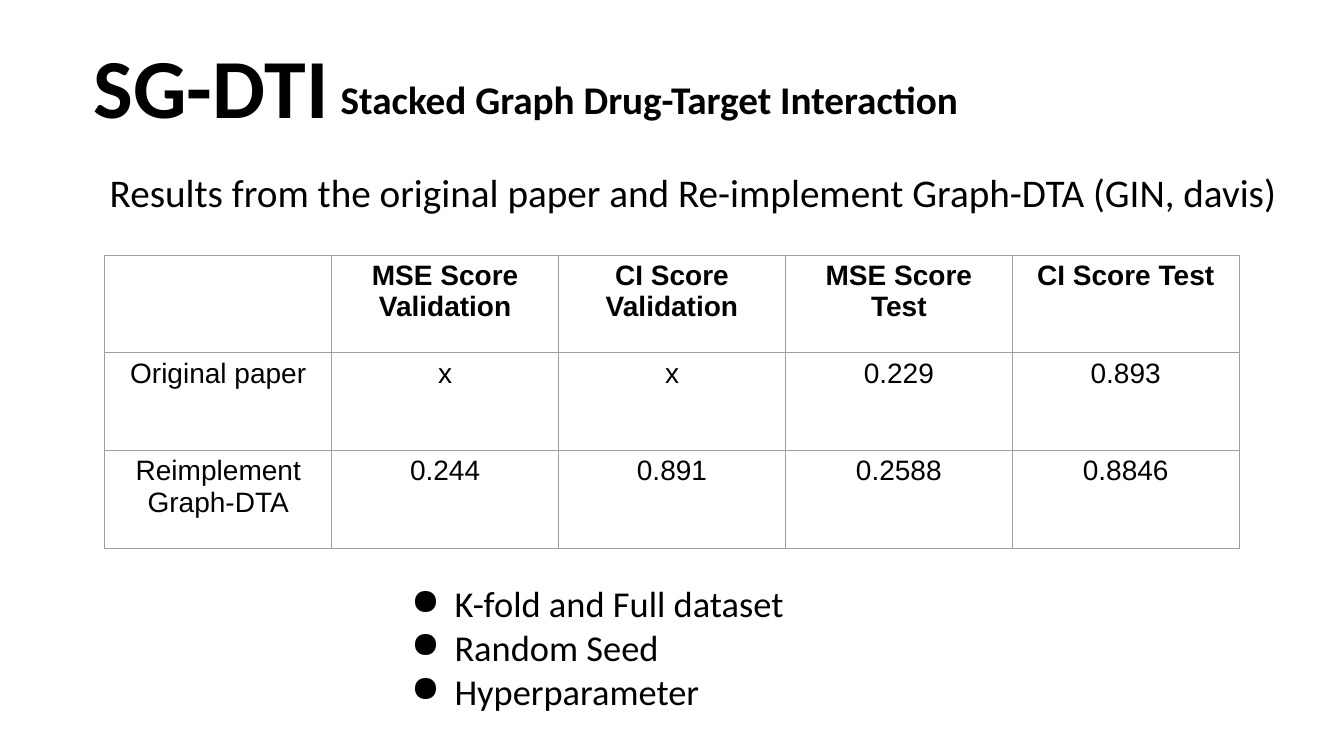
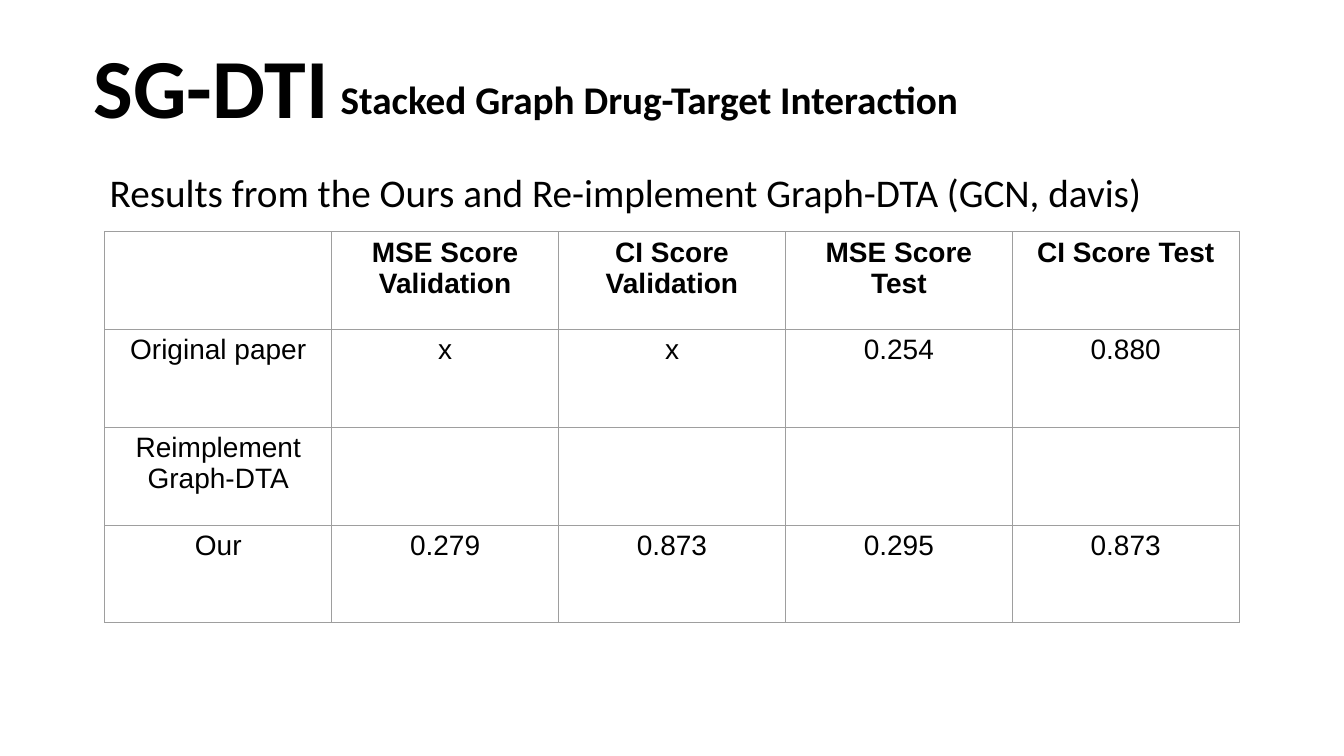
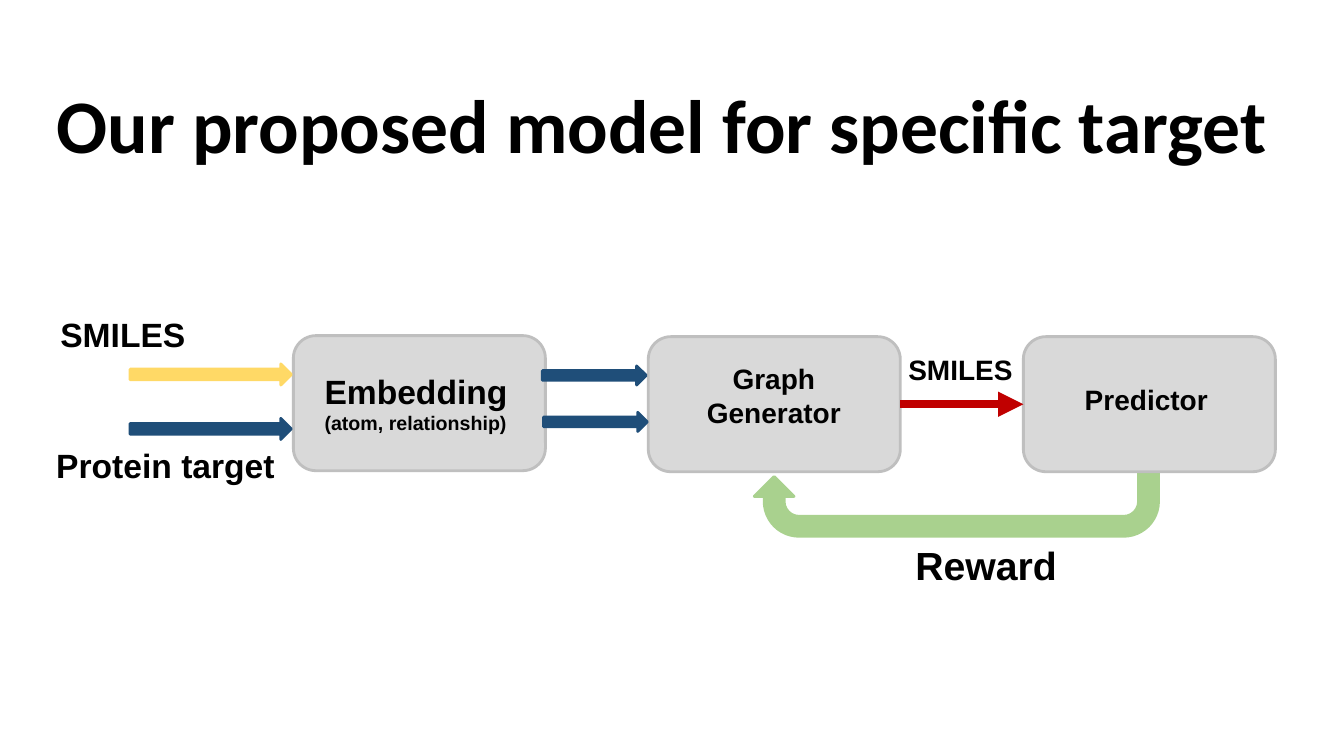
from pptx import Presentation
from pptx import util as u
from pptx.dml.color import RGBColor
from pptx.enum import shapes, text
from pptx.oxml import parse_xml
from pptx.oxml.ns import nsdecls

HUES = {"ink": "000000", "grid": "9E9E9E", "node": "D9D9D9", "edge": "BFBFBF",
        "blue": "1F4E79", "gold": "FFD966", "red": "C00000", "green": "A9D18E"}
HEADS = ["", "MSE Score Validation", "CI Score Validation",
         "MSE Score Test", "CI Score Test"]
LEFT, MID = text.PP_ALIGN.LEFT, text.PP_ALIGN.CENTER
KIND = shapes.MSO_SHAPE


def rgb(hue):
    """Return the named colour."""
    return RGBColor.from_string(HUES[hue])


def inch(*nums):
    """Return the numbers as lengths."""
    return [u.Inches(n) for n in nums]


def xml(tag, body="", **attrs):
    """Return a drawing element."""
    pairs = "".join(f' {key}="{val}"' for key, val in attrs.items())
    return parse_xml(f'<a:{tag} {nsdecls("a")}{pairs}>{body}</a:{tag}>')


def write(par, words, size, font="Arial", bold=True, align=LEFT):
    """Add one styled run to a paragraph."""
    par.alignment = align
    run = par.add_run()
    run.text = words
    run.font.size, run.font.name, run.font.bold = u.Pt(size), font, bold
    run.font.color.rgb = rgb("ink")


def label(slide, box, lines, font="Arial", bold=True, align=LEFT, pad=0.05):
    """Place a text box of (words, size) lines and return its frame."""
    frame = slide.shapes.add_textbox(*inch(*box)).text_frame
    frame.word_wrap = True
    frame.margin_top = frame.margin_bottom = u.Inches(pad)
    for i, (words, size) in enumerate(lines):
        par = frame.add_paragraph() if i else frame.paragraphs[0]
        write(par, words, size, font, bold, align)
    return frame


def start(deck, box, words, size):
    """Add a slide with its title and return the slide."""
    slide = deck.slides.add_slide(deck.slide_layouts[5])
    head = slide.shapes.title
    head.left, head.top, head.width, head.height = inch(*box)
    frame = head.text_frame
    frame.word_wrap = True
    frame.auto_size = text.MSO_AUTO_SIZE.NONE
    frame.vertical_anchor = text.MSO_ANCHOR.MIDDLE
    par = frame.paragraphs[0]
    par.line_spacing = 0.9
    write(par, words, size, "Calibri")
    return slide


def rule(cell):
    """Draw a thin line on all sides of a cell."""
    props = cell._tc.get_or_add_tcPr()
    fill = f'<a:solidFill><a:srgbClr val="{HUES["grid"]}"/></a:solidFill>'
    for i, tag in enumerate(("lnL", "lnR", "lnT", "lnB")):
        props.insert(i, xml(tag, fill, w=u.Pt(0.75)))


def grid(slide, left, top, rows, wide=2.25, high=0.97):
    """Place the score table below its column heads."""
    rows = [HEADS] + rows
    box = inch(left, top, wide * len(HEADS), high * len(rows))
    table = slide.shapes.add_table(len(rows), len(HEADS), *box).table
    table.first_row = table.horz_banding = False
    for r, row in enumerate(rows):
        table.rows[r].height = u.Inches(high)
        for c, words in enumerate(row):
            table.columns[c].width = u.Inches(wide)
            cell = table.cell(r, c)
            cell.fill.background()
            rule(cell)
            if words:
                write(cell.text_frame.paragraphs[0], words, 20, bold=r == 0, align=MID)


def score(deck, lead, top, rows):
    """Build a results slide and return it."""
    slide = start(deck, (0.83, 0.18, 11.5, 1.45), "SG-DTI", 60)
    grid(slide, 1.04, top, rows)
    label(slide, (3.28, 0.7, 6.76, 1.03),
          [("Stacked Graph Drug-Target Interaction", 28)], "Calibri")
    label(slide, (0.99, 1.57, 11.8, 1.13), [(lead, 28)], "Calibri", False, pad=0.1)
    return slide


def points(slide, box, items):
    """Place a bullet list."""
    frame = label(slide, box, [(item, 26) for item in items], "Calibri", False, pad=0.1)
    for par in frame.paragraphs:
        props = par._p.get_or_add_pPr()
        props.set("marL", str(u.Inches(0.5)))
        props.set("indent", str(u.Inches(-0.43)))
        props.append(xml("buChar", char="●"))


def block(slide, kind, box, fill, edge, adj):
    """Place a filled preset shape and return it."""
    shape = slide.shapes.add_shape(kind, *inch(*box))
    shape.shadow.inherit = False
    shape.fill.solid()
    shape.fill.fore_color.rgb = rgb(fill)
    shape.line.color.rgb = rgb(edge)
    shape.line.width = u.Pt(2)
    for i, val in enumerate(adj):
        shape.adjustments[i] = val
    return shape


def node(slide, left, top, inset, lines, align=LEFT):
    """Place a rounded box with a label inset from its corner."""
    shape = block(slide, KIND.ROUNDED_RECTANGLE, (left, top, 2.5, 1.34),
                  "node", "edge", [0.167])
    x, y, wide, high = inset
    label(slide, (left + x, top + y, wide, high), lines, align=align)
    return shape


def join(slide, src, dst):
    """Join two boxes from right side to left side with an arrow."""
    line = slide.shapes.add_connector(shapes.MSO_CONNECTOR.STRAIGHT, 0, 0, 0, 0)
    line.begin_connect(src, 3)
    line.end_connect(dst, 1)
    line.line.color.rgb = rgb("red")
    line.line.width = u.Pt(6)
    line.line._get_or_add_ln().append(xml("tailEnd", type="triangle"))
    line._element.spPr.append(xml("effectLst"))


def model(deck):
    """Build the model flow slide."""
    slide = start(deck, (0.46, 0.5, 12.8, 1.55),
                  "Our proposed model for specific target", 54)
    back = block(slide, KIND.U_TURN_ARROW, (7.48, 4.53, 4.01, 0.79),
                 "green", "green", [0.25, 0.25, 0.25, 0.438, 0.75])
    back.rotation = 180
    node(slide, 2.91, 3.33, (0.21, 0.3, 2.15, 0.73),
         [("Embedding", 24), ("(atom, relationship)", 14)])
    maker = node(slide, 6.43, 3.34, (0.34, 0.2, 1.81, 0.77),
                 [("Graph Generator", 20)], MID)
    judge = node(slide, 10.15, 3.34, (0.51, 0.41, 1.81, 0.43), [("Predictor", 20)])
    for box, hue in [((1.29, 3.61, 1.6, 0.21), "gold"),
                     ((1.29, 4.15, 1.6, 0.21), "blue"),
                     ((5.38, 3.63, 1.03, 0.19), "blue"),
                     ((5.39, 4.09, 1.03, 0.19), "blue")]:
        block(slide, KIND.RIGHT_ARROW, box, hue, hue, [0.5, 0.5])
    join(slide, maker, judge)
    for box, words, size in [((0.5, 3.07, 1.58, 0.5), "SMILES", 24),
                             ((0.46, 4.36, 2.5, 0.5), "Protein target", 24),
                             ((8.91, 3.45, 1.38, 0.43), "SMILES", 20),
                             ((8.98, 5.32, 1.61, 0.57), "Reward", 28)]:
        label(slide, box, [(words, size)])


def main():
    """Build and save the deck."""
    deck = Presentation()
    deck.slide_width, deck.slide_height = inch(13.33, 7.5)
    first = score(
        deck, "Results from the original paper and Re-implement Graph-DTA (GIN, davis)", 2.53,
        [["Original paper", "x", "x", "0.229", "0.893"],
         ["Reimplement Graph-DTA", "0.244", "0.891", "0.2588", "0.8846"]])
    points(first, (3.91, 5.67, 5.97, 1.5),
           ["K-fold and Full dataset", "Random Seed", "Hyperparameter"])
    score(deck, "Results from the Ours and Re-implement Graph-DTA (GCN, davis)", 2.3,
          [["Original paper", "x", "x", "0.254", "0.880"],
           ["Reimplement Graph-DTA", "", "", "", ""],
           ["Our", "0.279", "0.873", "0.295", "0.873"]])
    model(deck)
    deck.save("out.pptx")


if __name__ == "__main__":
    main()
